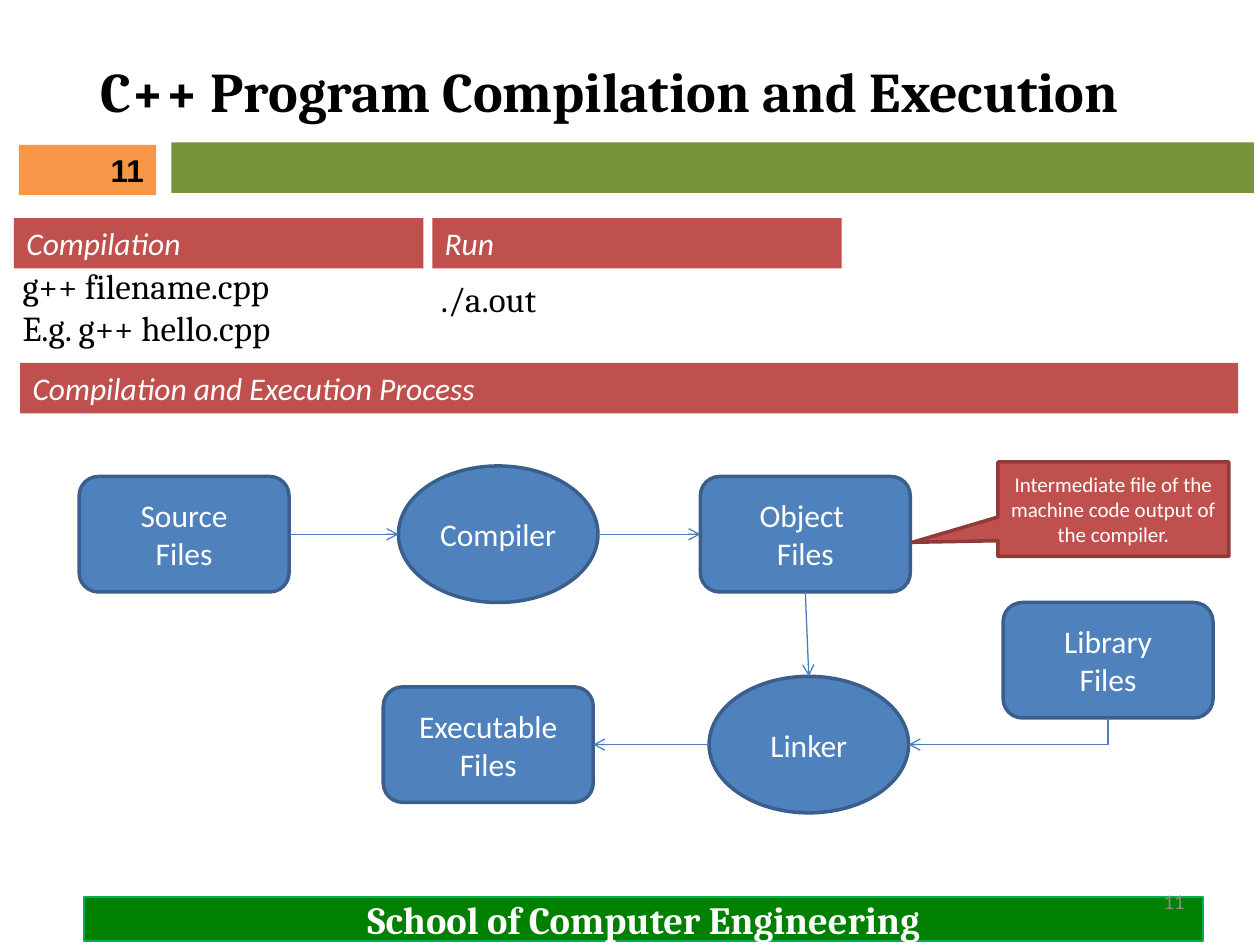
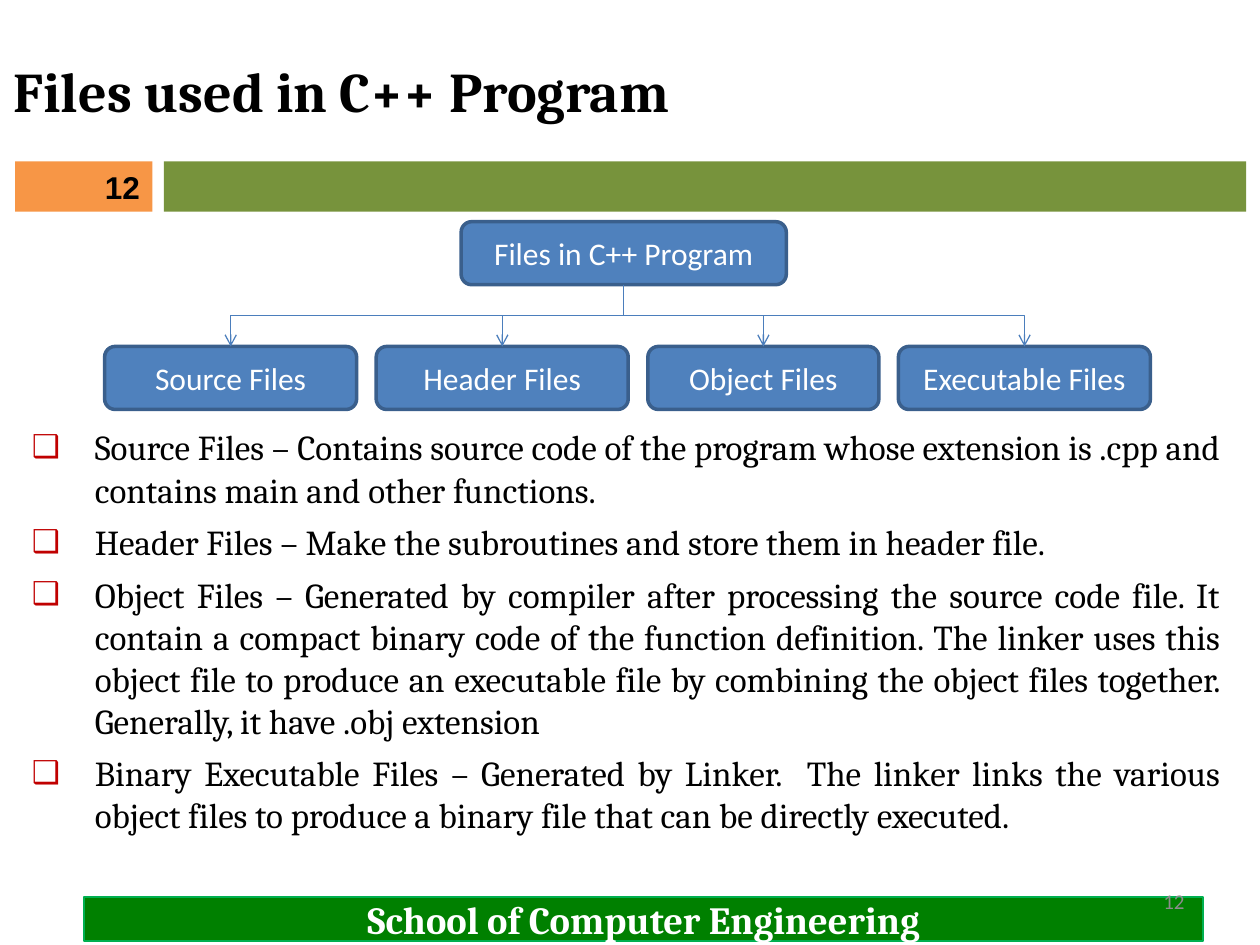
from dataclasses import dataclass

from lxml import etree
from pptx import Presentation
from pptx.dml.color import RGBColor
from pptx.enum.shapes import MSO_CONNECTOR, MSO_SHAPE
from pptx.enum.text import MSO_ANCHOR, MSO_AUTO_SIZE, PP_ALIGN
from pptx.oxml.ns import qn
from pptx.util import Pt

RECT, ROUND, OVAL = MSO_SHAPE.RECTANGLE, MSO_SHAPE.ROUNDED_RECTANGLE, MSO_SHAPE.OVAL
CALLOUT = MSO_SHAPE.RECTANGULAR_CALLOUT
STRAIGHT, ELBOW = MSO_CONNECTOR.STRAIGHT, MSO_CONNECTOR.ELBOW
LEFT, CENTER, RIGHT, JUSTIFY = PP_ALIGN.LEFT, PP_ALIGN.CENTER, PP_ALIGN.RIGHT, PP_ALIGN.JUSTIFY
TOP, MIDDLE = MSO_ANCHOR.TOP, MSO_ANCHOR.MIDDLE
NO_FIT = MSO_AUTO_SIZE.NONE

SIDE_TOP, SIDE_LEFT, SIDE_BOTTOM, SIDE_RIGHT = range(4)
OVAL_SITES = (0, 2, 4, 6)


@dataclass(frozen=True)
class TextStyle:
    font: str
    size: int
    color: str
    bold: bool = False
    italic: bool = False


@dataclass(frozen=True)
class Theme:
    green: str = "77933C"
    orange: str = "F79646"
    red: str = "C0504D"
    red_edge: str = "8E3B39"
    blue: str = "4F81BD"
    blue_edge: str = "3A5F8C"
    arrow: str = "4B7EBC"
    footer: str = "008000"
    footer_edge: str = "00B050"
    bullet: str = "C00000"
    title: TextStyle = TextStyle("Cambria", 32, "000000", bold=True)
    body: TextStyle = TextStyle("Cambria", 20, "000000")
    school: TextStyle = TextStyle("Cambria", 22, "FFFFFF", bold=True)
    heading: TextStyle = TextStyle("Calibri", 18, "FFFFFF", italic=True)
    node: TextStyle = TextStyle("Calibri", 18, "FFFFFF")
    note: TextStyle = TextStyle("Calibri", 12, "FFFFFF")
    badge: TextStyle = TextStyle("Arial", 18, "000000", bold=True)
    page: TextStyle = TextStyle("Calibri", 12, "8C8C8C")


THEME = Theme()


def pts(*values):
    return [Pt(v) for v in values]


def write(tf, lines, style, align=LEFT, anchor=MIDDLE):
    tf.word_wrap = True
    tf.auto_size = NO_FIT
    tf.vertical_anchor = anchor
    for i, line in enumerate(lines):
        p = tf.add_paragraph() if i else tf.paragraphs[0]
        p.alignment = align
        r = p.add_run()
        r.text = line
        r.font.name = style.font
        r.font.size = Pt(style.size)
        r.font.bold = style.bold
        r.font.italic = style.italic
        r.font.color.rgb = RGBColor.from_string(style.color)


def add_block(s, kind, box, fill, edge=None, weight=2):
    sp = s.shapes.add_shape(kind, *pts(*box))
    sp.shadow.inherit = False
    sp.fill.solid()
    sp.fill.fore_color.rgb = RGBColor.from_string(fill)
    if edge:
        sp.line.color.rgb = RGBColor.from_string(edge)
        sp.line.width = Pt(weight)
    else:
        sp.line.fill.background()
    return sp


def add_label(s, box, lines, style, align, anchor=TOP):
    sp = s.shapes.add_textbox(*pts(*box))
    write(sp.text_frame, lines, style, align, anchor)


def add_heading(s, box, text):
    sp = add_block(s, RECT, box, THEME.red)
    write(sp.text_frame, [text], THEME.heading, anchor=TOP)


def add_node(s, kind, box, lines):
    sp = add_block(s, kind, box, THEME.blue, THEME.blue_edge)
    write(sp.text_frame, lines, THEME.node, CENTER)
    return sp


def side_point(sp, side):
    x, y = sp.left + sp.width // 2, sp.top + sp.height // 2
    return ((x, sp.top), (sp.left, y), (x, sp.top + sp.height), (sp.left + sp.width, y))[side]


def glue(c, sp, side, tag):
    if sp.auto_shape_type != OVAL:
        (c.begin_connect if tag == "a:stCxn" else c.end_connect)(sp, side)
        return
    holder = c.element.find(".//" + qn("p:cNvCxnSpPr"))
    etree.SubElement(holder, qn(tag), id=str(sp.shape_id), idx=str(OVAL_SITES[side]))


def add_arrow(s, a, a_side, b, b_side, kind=STRAIGHT):
    start, end = side_point(a, a_side), side_point(b, b_side)
    c = s.shapes.add_connector(kind, *start, *end)
    glue(c, a, a_side, "a:stCxn")
    glue(c, b, b_side, "a:endCxn")
    c.line.color.rgb = RGBColor.from_string(THEME.arrow)
    c.line.width = Pt(0.75)
    sp_pr = c.element.spPr
    etree.SubElement(sp_pr.find(qn("a:ln")), qn("a:tailEnd"), type="arrow")
    etree.SubElement(sp_pr, qn("a:effectLst"))
    if kind == ELBOW:
        turn_down(c, start, end, b_side)


def turn_down(c, start, end, b_side):
    dx, dy = end[0] - start[0], end[1] - start[1]
    c.width, c.height = dy, abs(dx)
    c.left = (start[0] + end[0] - dy) // 2
    c.top = (start[1] + end[1] - abs(dx)) // 2
    xfrm = c.element.spPr.find(qn("a:xfrm"))
    for name in ("flipH", "flipV"):
        xfrm.attrib.pop(name, None)
    xfrm.set("rot", "16200000" if dx > 0 else "5400000")
    if dx > 0:
        xfrm.set("flipH", "1")
    if b_side != SIDE_TOP:
        c.element.spPr.find(qn("a:prstGeom")).set("prst", "bentConnector2")


def add_frame(s, title, align, number):
    t = s.shapes.title
    t.left, t.top, t.width, t.height = pts(0.72, 12.24, 696, 78)
    write(t.text_frame, [title], THEME.title, align)
    sp = add_block(s, RECT, (48, 512.6, 639.5, 25.2), THEME.footer, THEME.footer_edge, 0.75)
    write(sp.text_frame, ["School of Computer Engineering"], THEME.school, CENTER)
    add_label(s, (516, 500.4, 168, 28.8), [number], THEME.page, RIGHT, MIDDLE)


def add_band(s, bar, badge, number):
    add_block(s, RECT, (*bar, 618.5, 28.8), THEME.green)
    sp = add_block(s, RECT, (*badge, 78.5, 28.8), THEME.orange)
    write(sp.text_frame, [number], THEME.badge, RIGHT)


def add_commands(s, x, y):
    add_heading(s, (x, y, 234, 28.8), "Compilation")
    add_label(s, (x - 2.2, y + 23, 223, 55.5), ["g++ filename.cpp", "E.g. g++ hello.cpp"],
              THEME.body, JUSTIFY)
    add_heading(s, (x + 239, y, 234, 28.8), "Run")
    add_label(s, (x + 236.8, y + 30.2, 223, 31.5), ["./a.out"], THEME.body, JUSTIFY)


def add_build_flow(s, x, y):
    sizes = {ROUND: (120, 66), OVAL: (114, 78)}
    upper, lower = 41.3, 161.5

    def node(kind, cx, cy, *lines):
        w, h = sizes[kind]
        return add_node(s, kind, (x + cx - w / 2, y + cy - h / 2, w, h), lines)

    source = node(ROUND, 60, upper, "Source", "Files")
    compiler = node(OVAL, 239.5, upper, "Compiler")
    objects = node(ROUND, 415, upper, "Object ", "Files")
    linker = node(OVAL, 417, lower, "Linker")
    library = node(ROUND, 588, 113.3, "Library", "Files")
    executable = node(ROUND, 233.8, lower, "Executable", "Files")

    add_arrow(s, source, SIDE_RIGHT, compiler, SIDE_LEFT)
    add_arrow(s, compiler, SIDE_RIGHT, objects, SIDE_LEFT)
    add_arrow(s, objects, SIDE_BOTTOM, linker, SIDE_TOP)
    add_arrow(s, library, SIDE_BOTTOM, linker, SIDE_RIGHT, ELBOW)
    add_arrow(s, linker, SIDE_LEFT, executable, SIDE_RIGHT)

    note = add_block(s, CALLOUT, (x + 525, y, 132, 54), THEME.red, THEME.red_edge)
    note.adjustments[0], note.adjustments[1] = -0.87, 0.35
    write(note.text_frame, ["Intermediate file of the machine code output of the compiler."],
          THEME.note, CENTER)


def add_file_tree(s, x, y):
    root = add_node(s, ROUND, (x + 203.7, y, 185.8, 36), ["Files in C++ Program"])
    kinds = (("Source Files", 144), ("Header Files", 144),
             ("Object Files", 132), ("Executable Files", 144))
    gap = 11.2
    for name, width in kinds:
        child = add_node(s, ROUND, (x, y + 71.3, width, 36), [name])
        add_arrow(s, root, SIDE_BOTTOM, child, SIDE_TOP, ELBOW)
        x += width + gap


def add_bullets(body, box, lines):
    body.left, body.top, body.width, body.height = pts(*box)
    write(body.text_frame, lines, THEME.body, JUSTIFY, TOP)
    for p in body.text_frame.paragraphs:
        p.space_before = Pt(6)
        p_pr = p._p.get_or_add_pPr()
        p_pr.set("marL", str(Pt(40.5)))
        p_pr.set("indent", str(Pt(-36)))
        color = etree.SubElement(p_pr, qn("a:buClr"))
        etree.SubElement(color, qn("a:srgbClr"), val=THEME.bullet)
        etree.SubElement(p_pr, qn("a:buSzPct"), val="90000")
        etree.SubElement(p_pr, qn("a:buFont"), typeface="Arial")
        etree.SubElement(p_pr, qn("a:buChar"), char="❑")


def build_compilation(prs):
    s = prs.slides.add_slide(prs.slide_layouts.get_by_name("Title Only"))
    add_frame(s, "C++ Program Compilation and Execution", CENTER, "11")
    add_commands(s, 8, 124.6)
    add_heading(s, (11.5, 207.4, 696, 28.8), "Compilation and Execution Process")
    add_build_flow(s, 45.2, 264)
    add_band(s, (98, 81.4), (10.8, 82.8), "11")


def build_files(prs):
    s = prs.slides.add_slide(prs.slide_layouts.get_by_name("Title and Content"))
    add_frame(s, "Files used in C++ Program", LEFT, "12")
    add_file_tree(s, 59.8, 126.7)
    add_bullets(s.placeholders[1], (6.5, 239.8, 698.4, 243.4), [
        "Source Files – Contains source code of the program whose extension is .cpp "
        "and contains main and other functions.",
        "Header Files – Make the subroutines and store them in header file.",
        "Object Files – Generated by compiler after processing the source code file. "
        "It contain a compact binary code of the function definition. The linker uses "
        "this object file to produce an executable file by combining the object files "
        "together. Generally, it have .obj extension",
        "Binary Executable Files – Generated by Linker.  The linker links the various "
        "object files to produce a binary file that can be directly executed.",
    ])
    add_band(s, (93.6, 92.2), (8.6, 92.2), "12")


def main():
    prs = Presentation()
    prs.slide_width, prs.slide_height = pts(720, 540)
    build_compilation(prs)
    build_files(prs)
    prs.save("out.pptx")


if __name__ == "__main__":
    main()
